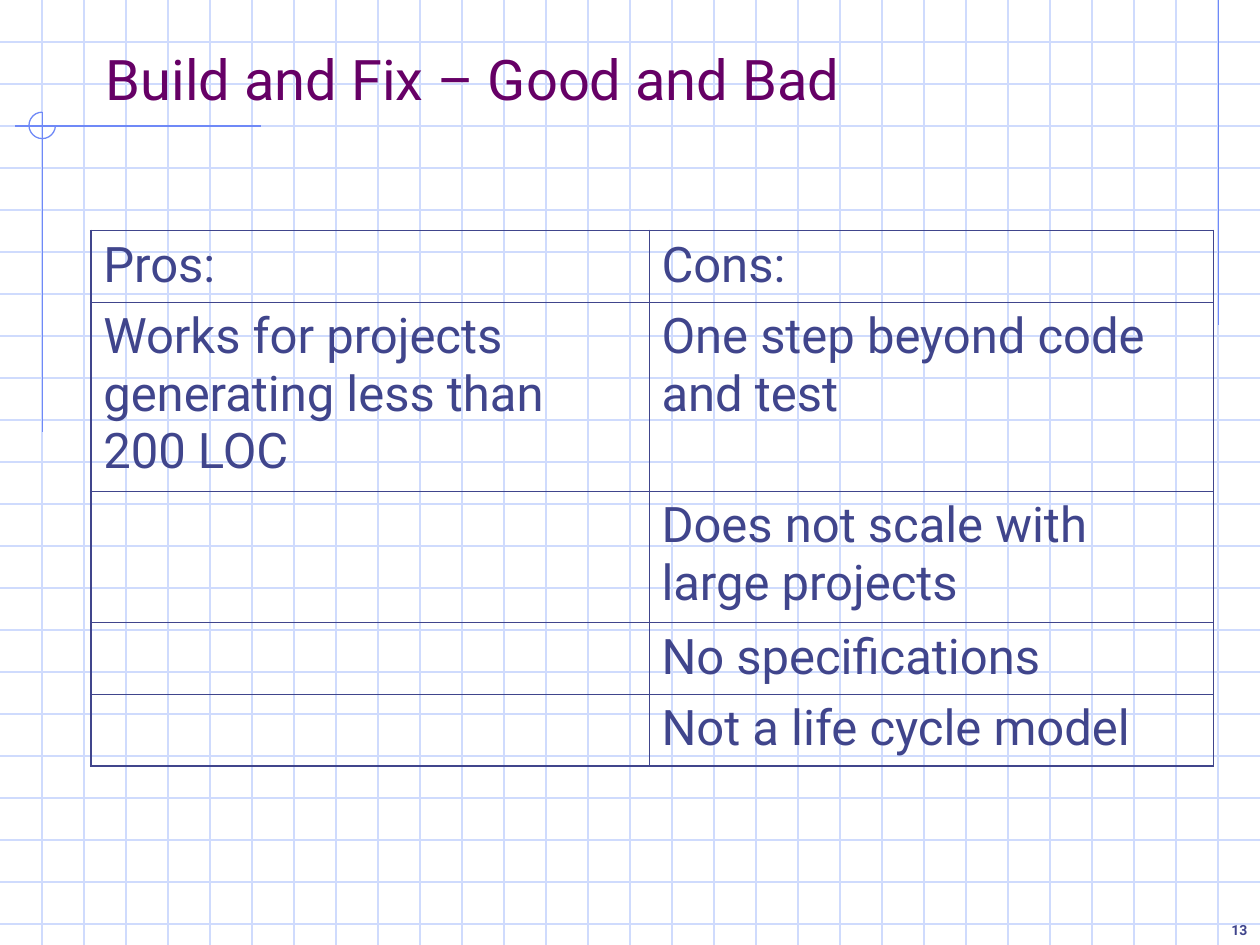
from typing import NamedTuple

from lxml import etree
from pptx import Presentation
from pptx.dml.color import RGBColor
from pptx.enum import shapes, text
from pptx.oxml import ns
from pptx.util import Inches, Pt

GRID = RGBColor(0xCF, 0xDB, 0xFD)
ACCENT = RGBColor(0x6F, 0x89, 0xF7)
PLUM = RGBColor(0x66, 0x00, 0x66)
INK = RGBColor(0x40, 0x45, 0x8C)
FONT = "Roboto"
WIDTH, HEIGHT = 10, 7.5
STEPS = 3  # grid squares to the inch
THIN, THICK = 0.45, 1.08


class Line(NamedTuple):
    x1: float
    y1: float
    x2: float
    y2: float
    color: RGBColor


class Label(NamedTuple):
    words: str
    box: tuple
    align: text.PP_ALIGN
    style: dict


ACROSS = [Line(0, n / STEPS, WIDTH, n / STEPS, GRID) for n in range(1, 23)]
DOWN = [Line(n / STEPS, 0, n / STEPS, HEIGHT, GRID) for n in range(1, 30)]
TRIM = [
    Line(9.67, 0, 9.67, 2.58, ACCENT),
    Line(2.07, 1, 0.12, 1, ACCENT),
    Line(0.34, 0.89, 0.34, 3.43, ACCENT),
]
TITLE = Label("Build and Fix – Good and Bad", (0.74, 0.33, 8.5, 0.61),
              text.PP_ALIGN.LEFT, {"size": Pt(32), "color": PLUM})
NUMBER = Label("13", (9.53, 7.2, 0.47, 0.3), text.PP_ALIGN.RIGHT,
               {"size": Pt(8), "bold": True, "color": INK})
BODY = {"size": Pt(28), "color": INK}
COLS = [4.43, 4.48]
ROWS = [
    (0.57, "Pros:", "Cons:"),
    (1.5, "Works for projects generating less than 200 LOC",
     "One step beyond code and test"),
    (1.04, "", "Does not scale with large projects"),
    (0.57, "", "No specifications"),
    (0.57, "", "Not a life cycle model"),
]


def style_font(font, style: dict) -> None:
    for name, value in {"name": FONT, **style}.items():
        if name == "color":
            font.color.rgb = value
        else:
            setattr(font, name, value)


def draw_line(parent, line: Line) -> None:
    ends = [Inches(v) for v in line[:4]]
    rule = parent.add_connector(shapes.MSO_CONNECTOR.STRAIGHT, *ends)
    rule.line.color.rgb = line.color
    rule.line.width = Pt(0.75)
    etree.SubElement(rule._element.spPr, ns.qn("a:effectLst"))


def draw_arc(parent) -> None:
    """Three quarters of a circle, open at the top right."""
    box = [Inches(v) for v in (0.23, 0.89, 0.21, 0.21)]
    arc = parent.add_shape(shapes.MSO_SHAPE.ARC, *box)
    arc.adjustments[0] = 0
    arc.adjustments[1] = 270 * 0.6  # 60000ths of a degree over 100000
    arc.shadow.inherit = False
    arc.fill.background()
    arc.line.color.rgb = ACCENT
    arc.line.width = Pt(0.75)


def fill_label(shape, label: Label) -> None:
    sides = ("left", "top", "width", "height")
    for side, value in zip(sides, label.box):
        setattr(shape, side, Inches(value))
    frame = shape.text_frame
    frame.text = label.words
    frame.word_wrap = True
    frame.auto_size = text.MSO_AUTO_SIZE.NONE
    frame.vertical_anchor = text.MSO_ANCHOR.BOTTOM
    para = frame.paragraphs[0]
    para.alignment = label.align
    style_font(para.runs[0].font, label.style)


def set_border(cell, side: str, points: float) -> None:
    props = cell._tc.get_or_add_tcPr()
    edge = etree.SubElement(props, ns.qn(f"a:ln{side}"), w=str(Pt(points)))
    fill = etree.SubElement(edge, ns.qn("a:solidFill"))
    etree.SubElement(fill, ns.qn("a:srgbClr"), val=str(INK))


def draw_table(parent) -> None:
    size = [Inches(v) for v in (0.72, 1.83, sum(COLS), sum(r[0] for r in ROWS))]
    table = parent.add_table(len(ROWS), len(COLS), *size).table
    table.first_row = table.horz_banding = False
    for col, width in zip(table.columns, COLS):
        col.width = Inches(width)
    for r, (height, *words) in enumerate(ROWS):
        table.rows[r].height = Inches(height)
        for c, word in enumerate(words):
            cell = table.cell(r, c)
            outer = {"L": c == 0, "R": c == len(COLS) - 1,
                     "T": r == 0, "B": r == len(ROWS) - 1}
            for side, edge in outer.items():
                set_border(cell, side, THICK if edge else THIN)
            cell.fill.background()
            if word:
                cell.text = word
                style_font(cell.text_frame.paragraphs[0].runs[0].font, BODY)


def main() -> None:
    deck = Presentation()
    deck.slide_width, deck.slide_height = Inches(WIDTH), Inches(HEIGHT)
    slide = deck.slides.add_slide(deck.slide_layouts[5])
    parts = slide.shapes
    title = parts.title
    grid = parts.add_group_shape().shapes
    for line in ACROSS + DOWN:
        draw_line(grid, line)
    for line in TRIM:
        draw_line(parts, line)
    draw_arc(parts)
    fill_label(title, TITLE)
    title._element.getparent().append(title._element)  # in front of the grid
    draw_table(parts)
    box = [Inches(v) for v in NUMBER.box]
    fill_label(parts.add_textbox(*box), NUMBER)
    deck.save("out.pptx")


if __name__ == "__main__":
    main()
